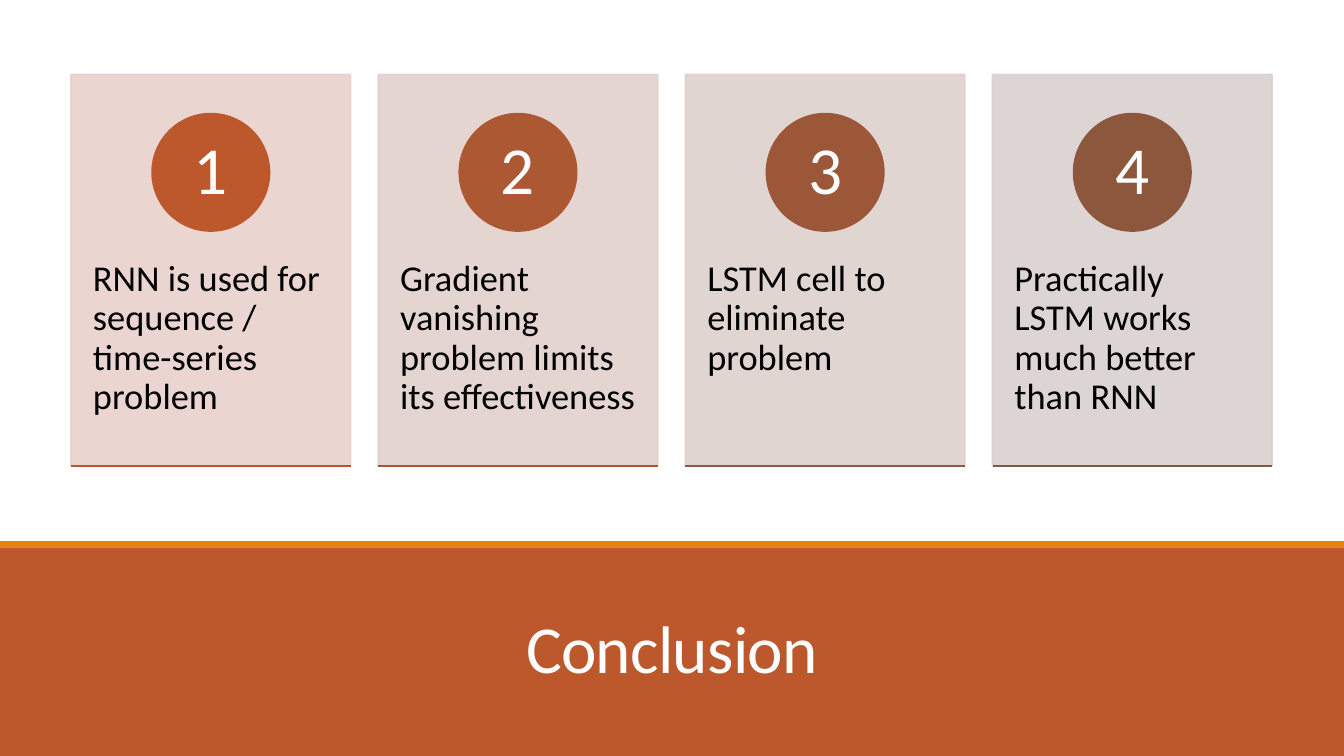
import dataclasses

import lxml.etree
import pptx
import pptx.dml.color
import pptx.enum.shapes
import pptx.enum.text
import pptx.oxml.ns
import pptx.util

Pt = pptx.util.Pt
SHAPES = pptx.enum.shapes.MSO_SHAPE
ANCHOR = pptx.enum.text.MSO_ANCHOR
ALIGN = pptx.enum.text.PP_ALIGN


@dataclasses.dataclass(frozen=True)
class Theme:
    font: str = "Calibri"
    heading_size: float = 48
    body_size: float = 26
    line_width: float = 1.25
    card_opacity: int = 90
    white: str = "FFFFFF"
    black: str = "000000"
    footer: str = "BD582C"
    accent: str = "E48312"


class SlideBuilder:
    def __init__(self, slide, theme):
        self.slide = slide
        self.theme = theme

    def color(self, value):
        return pptx.dml.color.RGBColor.from_string(value)

    def set_opacity(self, shape, percent):
        tag = pptx.oxml.ns.qn("a:srgbClr")
        for color in shape.element.spPr.iter(tag):
            alpha = lxml.etree.SubElement(color, pptx.oxml.ns.qn("a:alpha"))
            alpha.set("val", str(percent * 1000))

    def shape(self, kind, left, top, width, height, fill, outlined=False, opacity=100):
        shape = self.slide.shapes.add_shape(kind, Pt(left), Pt(top), Pt(width), Pt(height))
        shape.shadow.inherit = False
        shape.fill.solid()
        shape.fill.fore_color.rgb = self.color(fill)
        if outlined:
            shape.line.color.rgb = self.color(fill)
            shape.line.width = Pt(self.theme.line_width)
        else:
            shape.line.fill.background()
        if opacity < 100:
            self.set_opacity(shape, opacity)
        return shape

    def set_text(self, shape, text, size, color, align, anchor, spacing, insets, tracking=0):
        frame = shape.text_frame
        frame.word_wrap = True
        frame.vertical_anchor = anchor
        frame.margin_left = frame.margin_right = Pt(insets[0])
        frame.margin_top = frame.margin_bottom = Pt(insets[1])
        frame.text = text
        paragraph = frame.paragraphs[0]
        paragraph.alignment = align
        paragraph.line_spacing = spacing
        for run in paragraph.runs:
            run.font.name = self.theme.font
            run.font.size = Pt(size)
            run.font.color.rgb = self.color(color)
            if tracking:
                run_properties = run._r.get_or_add_rPr()
                run_properties.set("spc", str(round(tracking * 100)))

    def text_box(self, left, top, width, height, text, **style):
        box = self.slide.shapes.add_textbox(Pt(left), Pt(top), Pt(width), Pt(height))
        self.set_text(box, text, **style)

    def rule(self, left, top, width, color):
        line = self.slide.shapes.add_connector(
            pptx.enum.shapes.MSO_CONNECTOR.STRAIGHT,
            Pt(left), Pt(top), Pt(left + width), Pt(top))
        line.line.color.rgb = self.color(color)
        line.line.width = Pt(self.theme.line_width)
        lxml.etree.SubElement(line._element.spPr, pptx.oxml.ns.qn("a:effectLst"))

    def card(self, left, number, text, fill, circle_color, rule_color):
        theme = self.theme
        top, width, height, diameter = 53.3, 199.6, 279.4, 83.8
        self.shape(SHAPES.RECTANGLE, left, top, width, height, fill,
                   outlined=True, opacity=theme.card_opacity)
        self.text_box(left, 159.8, width, 167.8, text, size=theme.body_size,
                      color=theme.black, align=ALIGN.LEFT, anchor=ANCHOR.TOP,
                      spacing=0.9, insets=(15.6, 26))
        circle = self.shape(SHAPES.OVAL, left + (width - diameter) / 2, 81.2,
                            diameter, diameter, circle_color, outlined=True)
        self.set_text(circle, str(number), size=theme.heading_size, color=theme.white,
                      align=ALIGN.CENTER, anchor=ANCHOR.MIDDLE, spacing=0.9, insets=(0, 1))
        self.rule(left, top + height, width, rule_color)


def main():
    presentation = pptx.Presentation()
    presentation.slide_width = Pt(960)
    presentation.slide_height = Pt(540)
    theme = Theme()
    builder = SlideBuilder(
        presentation.slides.add_slide(presentation.slide_layouts[6]), theme)

    # Footer band with title
    builder.shape(SHAPES.RECTANGLE, 0, 390, 960, 150, theme.footer)
    builder.shape(SHAPES.RECTANGLE, 0, 386.5, 960, 5, theme.accent)
    builder.text_box(84, 413.3, 792, 81.4, "Conclusion", size=theme.heading_size,
                     color=theme.white, align=ALIGN.CENTER, anchor=ANCHOR.BOTTOM,
                     spacing=0.85, insets=(7.2, 3.6), tracking=-0.5)

    # Numbered cards: text, card fill, circle colour, rule colour
    cards = [
        ("RNN is used for sequence / time-series problem", "E8D1CD", "BD582C", "B5582F"),
        ("Gradient vanishing problem limits its effectiveness", "E3D1CD", "AC5833", "A45836"),
        ("LSTM cell to eliminate problem", "DED1CE", "9C5739", "95573B"),
        ("Practically LSTM works much better than RNN", "D9D1CF", "8D573E", "865640"),
    ]
    first_left, pitch = 50.8, 219.4
    for index, card in enumerate(cards):
        builder.card(first_left + index * pitch, index + 1, *card)

    presentation.save("out.pptx")


if __name__ == "__main__":
    main()
